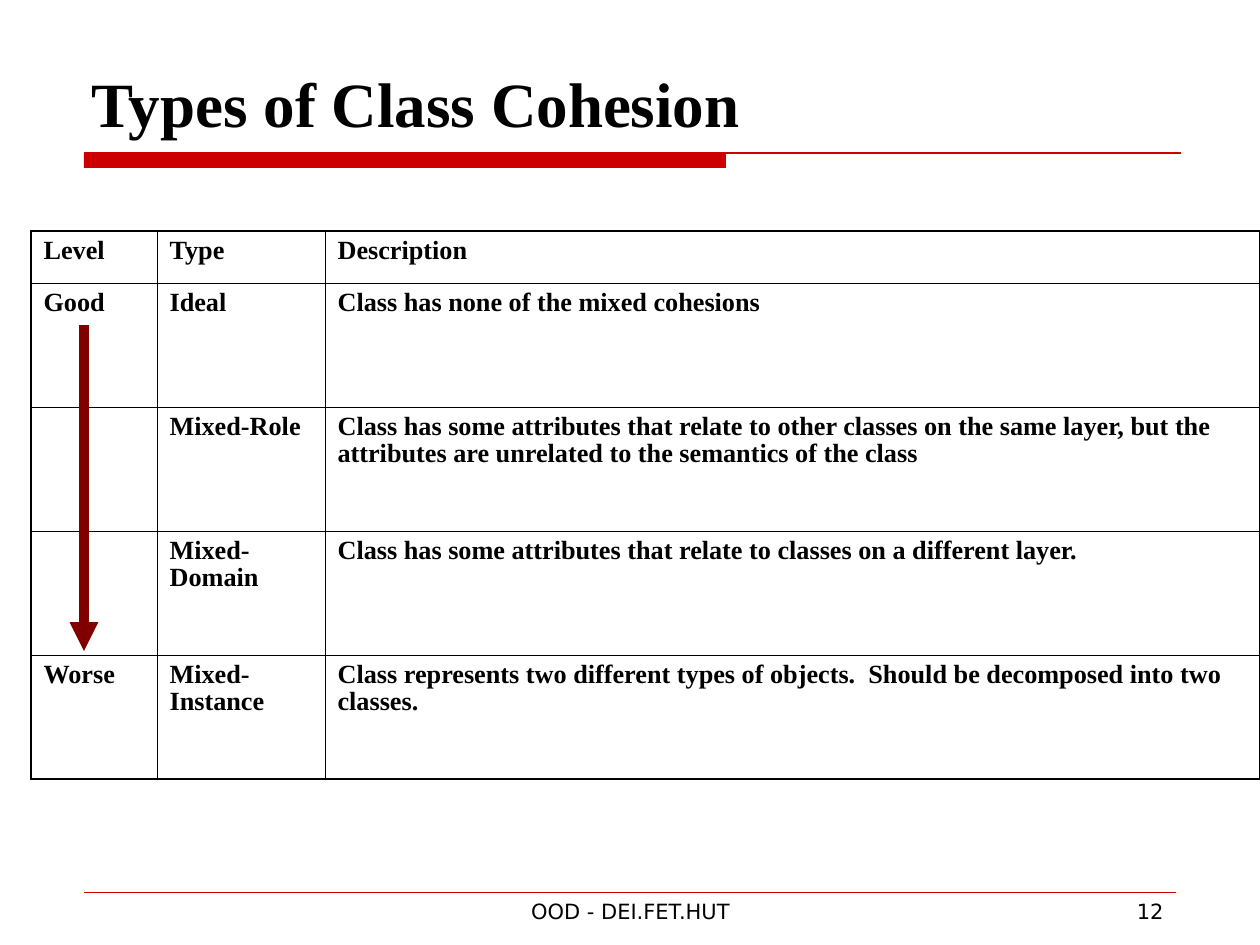
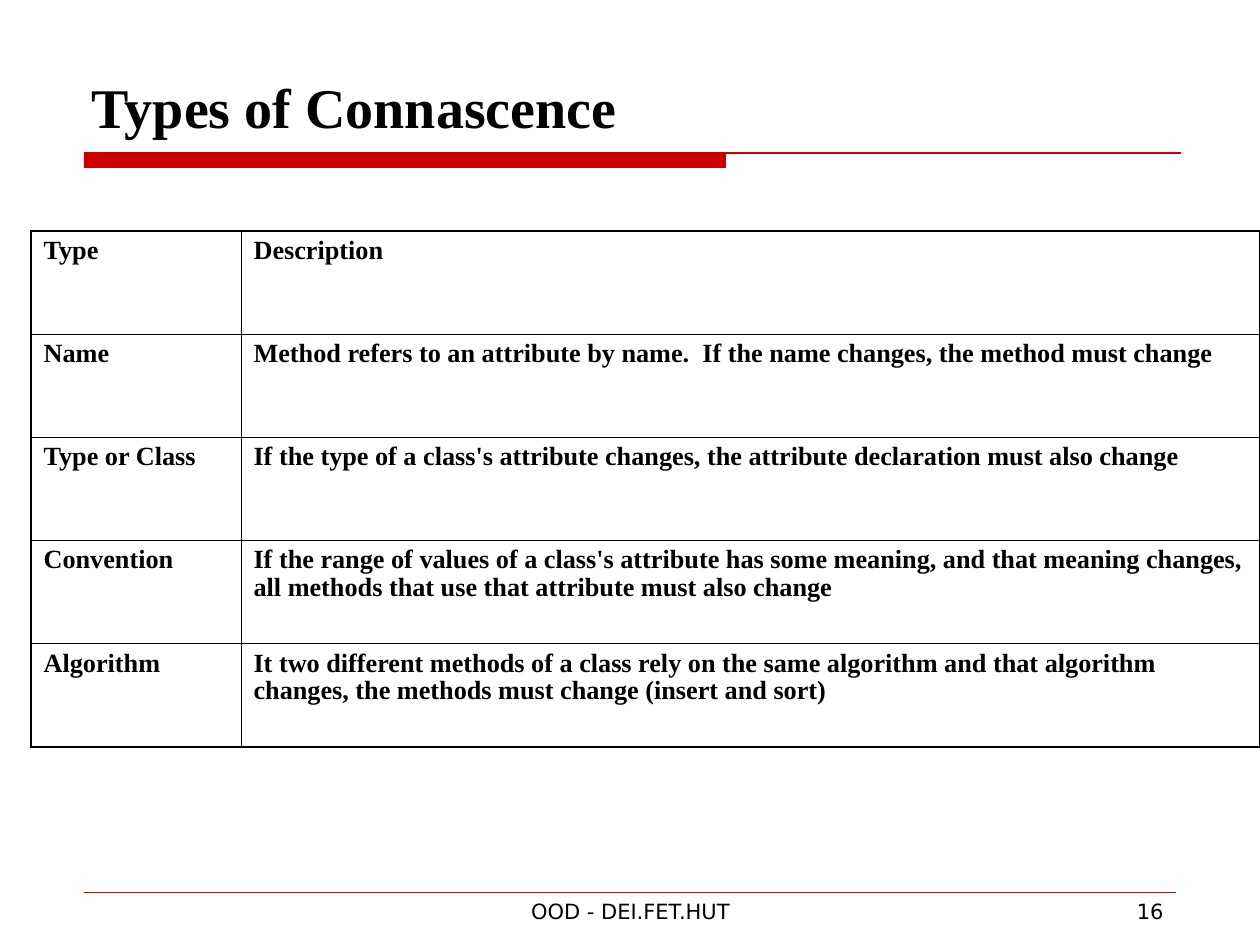
from lxml.etree import SubElement
from pptx import Presentation
from pptx.dml.color import RGBColor
from pptx.enum.shapes import MSO_CONNECTOR, MSO_SHAPE
from pptx.enum.text import MSO_ANCHOR, MSO_AUTO_SIZE, PP_ALIGN
from pptx.oxml.ns import qn
from pptx.util import Pt

EMU_PER_PX = 914400 / 126
RED = RGBColor(0xCC, 0x00, 0x00)
MAROON = RGBColor(0x80, 0x00, 0x00)
BLACK = RGBColor(0x00, 0x00, 0x00)
SERIF = "Times New Roman"
SANS = "DejaVu Sans"
FOOTER_TEXT = "OOD - DEI.FET.HUT"
TITLE_BOX = (79, 10, 1103, 136)
RULE_BOX = (84, 153, 1097, 15)
FOOTER_BOX = (84, 892, 1092, 34)
TABLE_LEFT, TABLE_TOP, TABLE_WIDTH = 31, 231, 1229
OUTER_BORDER, INNER_BORDER = 1.08, 0.45

COHESION_ROWS = [
    ("Level", "Type", "Description"),
    ("Good", "Ideal", "Class has none of the mixed cohesions"),
    ("", "Mixed-Role", "Class has some attributes that relate to other classes on the "
     "same layer, but the attributes are unrelated to the semantics of the class"),
    ("", "Mixed-Domain",
     "Class has some attributes that relate to classes on a different layer."),
    ("Worse", "Mixed-Instance", "Class represents two different types of objects.  "
     "Should be decomposed into two classes."),
]
CONNASCENCE_ROWS = [
    ("Type", "Description"),
    ("Name", "Method refers to an attribute by name.  If the name changes, "
     "the method must change"),
    ("Type or Class", "If the type of a class's attribute changes, "
     "the attribute declaration must also change"),
    ("Convention", "If the range of values of a class's attribute has some meaning, and "
     "that meaning changes, all methods that use that attribute must also change"),
    ("Algorithm", "It two different methods of a class rely on the same algorithm and that "
     "algorithm changes, the methods must change (insert and sort)"),
]


def px(length):
    """Turn a length in px into EMU."""
    return round(length * EMU_PER_PX)


def style_text(paragraph, font_name, size, bold=False, alignment=PP_ALIGN.LEFT):
    """Set the alignment and font of a paragraph."""
    paragraph.alignment = alignment
    font = paragraph.font
    font.name, font.size, font.bold = font_name, Pt(size), bold
    font.color.rgb = BLACK


def add_line(slide, start, end, color, width):
    """Draw a straight line without shadow and return it."""
    line = slide.shapes.add_connector(
        MSO_CONNECTOR.STRAIGHT, *(px(value) for value in start + end))
    line.line.color.rgb = color
    line.line.width = Pt(width)
    SubElement(line._element.spPr, qn("a:effectLst"))
    return line


def add_title(slide, box, text, size):
    """Place and fill the title placeholder."""
    title = slide.shapes.title
    title.left, title.top, title.width, title.height = map(px, box)
    frame = title.text_frame
    frame.text = text
    frame.auto_size = MSO_AUTO_SIZE.NONE
    frame.vertical_anchor = MSO_ANCHOR.BOTTOM
    style_text(frame.paragraphs[0], SERIF, size, bold=True)


def add_title_rule(slide, box):
    """Draw the thick bar and the thin line under the title."""
    left, top, width, height = box
    bar = slide.shapes.add_shape(
        MSO_SHAPE.RECTANGLE, px(left), px(top), px(642), px(height))
    bar.shadow.inherit = False
    bar.fill.solid()
    bar.fill.fore_color.rgb = RED
    bar.line.fill.background()
    add_line(slide, (left, top), (left + width, top), RED, 0.75)


def add_footer(slide, box, number):
    """Draw the footer line, the course name and the slide number."""
    left, top, width, height = box
    add_line(slide, (left, top), (left + width, top), RED, 0.25)
    for offset, text_width, text, alignment in (
            (347, 399, FOOTER_TEXT, PP_ALIGN.CENTER),
            (width - 273, 273, str(number), PP_ALIGN.RIGHT)):
        text_box = slide.shapes.add_textbox(
            px(left + offset), px(top), px(text_width), px(height))
        frame = text_box.text_frame
        frame.word_wrap = True
        frame.text = text
        style_text(frame.paragraphs[0], SANS, 12, alignment=alignment)


def set_border(cell, side, width):
    """Give one side of a cell a solid black border."""
    border = SubElement(cell._tc.get_or_add_tcPr(), qn(f"a:ln{side}"), w=str(Pt(width)))
    fill = SubElement(border, qn("a:solidFill"))
    SubElement(fill, qn("a:srgbClr"), val=str(BLACK))


def add_grid(slide, box, rows, first_columns, header_height):
    """Add a ruled table whose last column and body rows share the remaining space."""
    left, top, width, height = box
    widths = [*first_columns, width - sum(first_columns)]
    body_height = (height - header_height) / (len(rows) - 1)
    table = slide.shapes.add_table(len(rows), len(widths), *map(px, box)).table
    table.first_row = table.horz_banding = False
    for column, column_width in zip(table.columns, widths):
        column.width = px(column_width)
    for row_index, texts in enumerate(rows):
        table.rows[row_index].height = px(body_height if row_index else header_height)
        for column_index, text in enumerate(texts):
            cell = table.cell(row_index, column_index)
            outer_sides = {
                "L": column_index == 0, "R": column_index == len(widths) - 1,
                "T": row_index == 0, "B": row_index == len(rows) - 1}
            for side, is_outer in outer_sides.items():
                set_border(cell, side, OUTER_BORDER if is_outer else INNER_BORDER)
            cell.fill.background()
            cell.text = text
            paragraph = cell.text_frame.paragraphs[0]
            paragraph.line_spacing = 0.95
            style_text(paragraph, SERIF, 15, bold=True)


def add_quality_arrow(slide, box):
    """Draw the arrow from good to worse down the middle of the level column."""
    left, top, width, height = box
    center = left + width // 2
    arrow = add_line(slide, (center, top), (center, top + height), MAROON, 5.5)
    SubElement(arrow.line._get_or_add_ln(), qn("a:tailEnd"), type="triangle")


def add_table_slide(presentation, title, title_size, number, rows,
                    first_columns, table_height, header_height):
    """Add a slide with title, table and footer, and return it."""
    slide = presentation.slides.add_slide(presentation.slide_layouts[5])
    add_title_rule(slide, RULE_BOX)
    add_footer(slide, FOOTER_BOX, number)
    add_title(slide, TITLE_BOX, title, title_size)
    table_box = (TABLE_LEFT, TABLE_TOP, TABLE_WIDTH, table_height)
    add_grid(slide, table_box, rows, first_columns, header_height)
    return slide


def main():
    """Build both slides and save the presentation."""
    presentation = Presentation()
    presentation.slide_width, presentation.slide_height = px(1260), px(945)
    cohesion = add_table_slide(presentation, "Types of Class Cohesion", 36, 12,
                               COHESION_ROWS, (126, 168), 548, 52)
    add_quality_arrow(cohesion, (TABLE_LEFT, TABLE_TOP + 94, 106, 326))
    add_table_slide(presentation, "Types of Connascence", 32, 16,
                    CONNASCENCE_ROWS, (210,), 516, 103)
    presentation.save("out.pptx")


if __name__ == "__main__":
    main()
